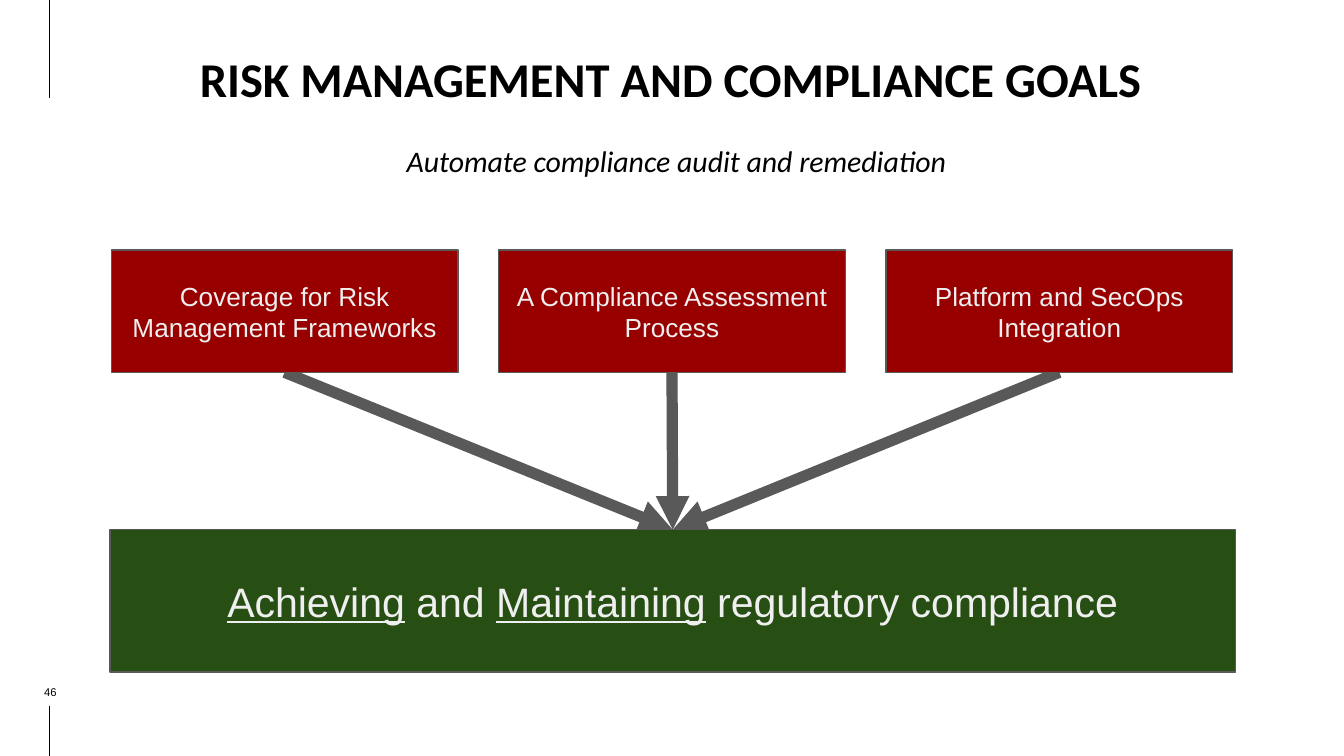
from lxml.etree import SubElement
from pptx import Presentation
from pptx.dml.color import RGBColor
from pptx.enum.shapes import MSO_CONNECTOR, MSO_SHAPE
from pptx.enum.text import MSO_ANCHOR, MSO_AUTO_SIZE, PP_ALIGN
from pptx.oxml.ns import qn
from pptx.util import Pt


def color(hex_code):
    return RGBColor.from_string(hex_code)


def write(shape, text, size, ink, font="Arial", inset=7.2, anchor=MSO_ANCHOR.MIDDLE,
          bold=False, italic=False, underlined=()):
    """Fill a shape with one centred paragraph; text is a string or a list of runs."""
    frame = shape.text_frame
    frame.word_wrap = True
    frame.auto_size = MSO_AUTO_SIZE.NONE
    frame.vertical_anchor = anchor
    frame.margin_left = frame.margin_right = Pt(inset)
    frame.margin_top = frame.margin_bottom = Pt(inset)
    paragraph = frame.paragraphs[0]
    paragraph.alignment = PP_ALIGN.CENTER
    paragraph.space_before = Pt(0)
    for part in [text] if isinstance(text, str) else text:
        run = paragraph.add_run()
        run.text = part
        run.font.name = font
        run.font.size = Pt(size)
        run.font.color.rgb = color(ink)
        run.font.bold = bold
        run.font.italic = italic
        run.font.underline = part in underlined
    return paragraph


prs = Presentation()
prs.slide_width, prs.slide_height = Pt(720), Pt(405)
slide = prs.slides.add_slide(prs.slide_layouts[0])
shapes = slide.shapes

# Title and subtitle
title, subtitle = shapes.title, slide.placeholders[1]
title.left, title.top, title.width, title.height = Pt(64.8), Pt(0), Pt(589.7), Pt(83.5)
write(title, "RISK MANAGEMENT AND COMPLIANCE GOALS", 26, "000000",
      font="Calibri", inset=0, bold=True)
subtitle.left, subtitle.top, subtitle.width, subtitle.height = Pt(64.8), Pt(73.4), Pt(595.4), Pt(26)
tagline = write(subtitle, "Automate compliance audit and remediation", 16, "000000",
                font="Calibri", inset=0, anchor=MSO_ANCHOR.TOP, italic=True)
tagline.line_spacing = 1.15
tagline.space_after = Pt(16)

# Diagram layout
pillars = ["Coverage for Risk Management Frameworks",
           "A Compliance Assessment Process",
           "Platform and SecOps Integration"]
pillar_left, pillar_top, pillar_width, pillar_height = 59.6, 134, 185.8, 65.5
pillar_pitch = 207.5
goal_left, goal_top, goal_width, goal_height = 59, 283.8, 602.8, 76.2

# Margin rules above and below the page number, then arrows behind the boxes
rules = [(26.6, 0, 26.6, 52.6), (26.6, 378, 26.6, 405)]
arrow_ends = [(pillar_left + i * pillar_pitch + pillar_width / 2, pillar_top + pillar_height,
               goal_left + goal_width / 2, goal_top) for i in range(len(pillars))]
arrows = []
for ends in rules + arrow_ends:
    line = shapes.add_connector(MSO_CONNECTOR.STRAIGHT, *[Pt(value) for value in ends])
    is_arrow = ends in arrow_ends
    line.line.color.rgb = color("595959" if is_arrow else "000000")
    line.line.width = Pt(6 if is_arrow else 0.75)
    if is_arrow:
        SubElement(line.line._get_or_add_ln(), qn("a:tailEnd"), type="triangle")
        arrows.append(line)
    SubElement(line._element.spPr, qn("a:effectLst"))

# Goal bar, followed by the three pillars
goal_text = ["Achieving", " and ", "Maintaining", " regulatory compliance"]
boxes = [(goal_left, goal_top, goal_width, goal_height, "274E13", goal_text, 22)]
boxes += [(pillar_left + i * pillar_pitch, pillar_top, pillar_width, pillar_height,
           "980000", text, 14) for i, text in enumerate(pillars)]
drawn = []
for left, top, width, height, fill, text, size in boxes:
    box = shapes.add_shape(MSO_SHAPE.RECTANGLE, Pt(left), Pt(top), Pt(width), Pt(height))
    box.shadow.inherit = False
    box.fill.solid()
    box.fill.fore_color.rgb = color(fill)
    box.line.color.rgb = color("595959")
    box.line.width = Pt(0.75)
    write(box, text, size, "EFEFEF", underlined=("Achieving", "Maintaining"))
    drawn.append(box)

# Join each pillar to the goal
goal, *pillar_boxes = drawn
for arrow, pillar in zip(arrows, pillar_boxes):
    arrow.begin_connect(pillar, 2)
    arrow.end_connect(goal, 0)

# Page number
page_number = shapes.add_textbox(Pt(11.5), Pt(355), Pt(31), Pt(31))
write(page_number, "46", 6, "000000")

prs.save("out.pptx")
